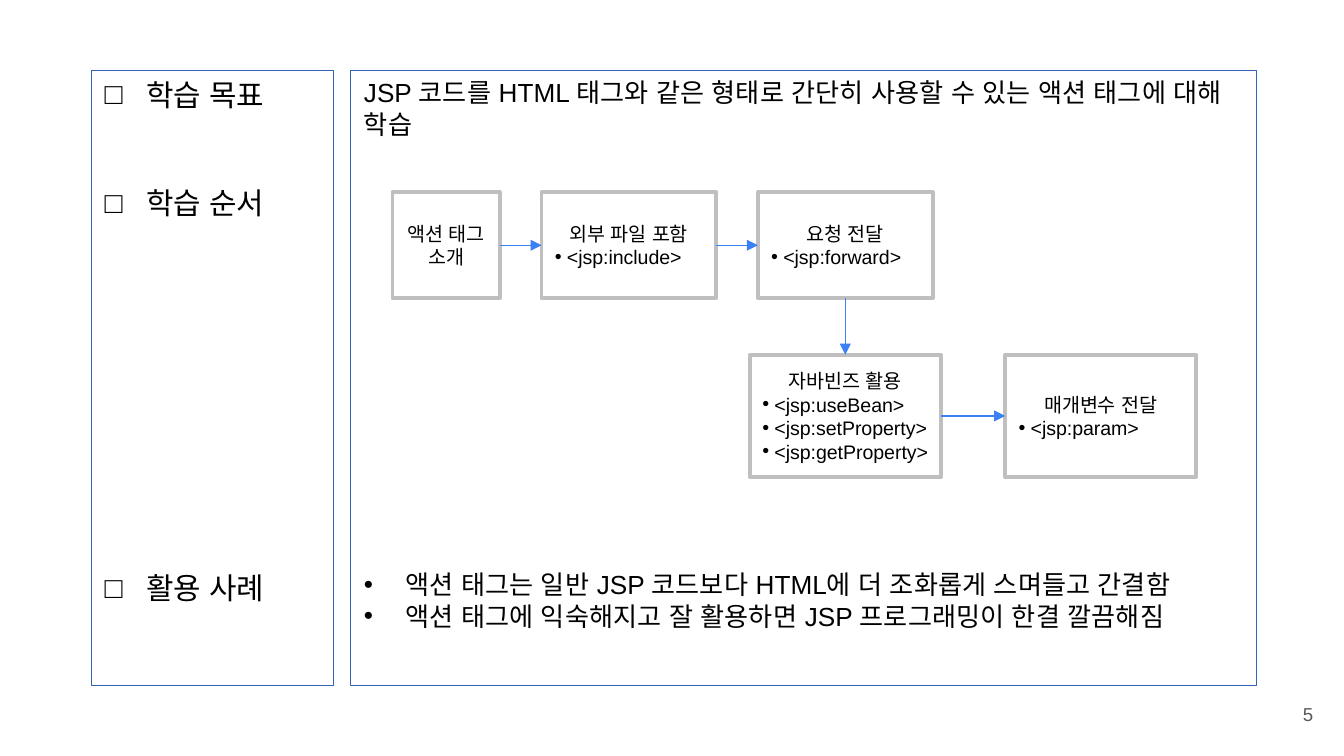
from lxml.etree import SubElement
from pptx import Presentation
from pptx.dml.color import RGBColor
from pptx.enum.shapes import MSO_CONNECTOR, MSO_SHAPE
from pptx.enum.text import MSO_ANCHOR, PP_ALIGN
from pptx.oxml.ns import qn
from pptx.util import Inches, Pt

BLACK = RGBColor(0x00, 0x00, 0x00)
WHITE = RGBColor(0xFF, 0xFF, 0xFF)
GRAY = RGBColor(0xBF, 0xBF, 0xBF)
DARK_GRAY = RGBColor(0x59, 0x59, 0x59)
FRAME_BLUE = RGBColor(0x31, 0x62, 0xB5)
ARROW_BLUE = RGBColor(0x3C, 0x81, 0xF3)
FONT = "Arial"

# Panel paragraphs: (text, bullet, space before in points)
HEADINGS = [
    ("학습 목표", "□", 0),
    ("학습 순서", "□", 39),
    ("활용 사례", "□", 187),
]
DETAILS = [
    ("JSP 코드를 HTML 태그와 같은 형태로 간단히 사용할 수 있는 액션 태그에 대해 학습", None, 0),
    ("액션 태그는 일반 JSP 코드보다 HTML에 더 조화롭게 스며들고 간결함", "•", 230),
    ("액션 태그에 익숙해지고 잘 활용하면 JSP 프로그래밍이 한결 깔끔해짐", "•", 0),
]
# Panels: (left, width, font size, paragraphs)
PANELS = [(0.68, 1.8, 16, HEADINGS), (2.61, 6.74, 14, DETAILS)]
PANEL_TOP, PANEL_HEIGHT = 0.52, 4.58

# Flow rows: (top, height, steps); step: (left, width, title, tags)
FLOW_ROWS = [
    (1.43, 0.79, [
        (2.92, 0.8, "액션 태그\v소개", []),
        (4.03, 1.3, "외부 파일 포함", ["<jsp:include>"]),
        (5.64, 1.3, "요청 전달", ["<jsp:forward>"]),
    ]),
    (2.64, 0.91, [
        (5.58, 1.42, "자바빈즈 활용",
         ["<jsp:useBean>", "<jsp:setProperty>", "<jsp:getProperty>"]),
        (7.48, 1.42, "매개변수 전달", ["<jsp:param>"]),
    ]),
]
TOP, LEFT, BOTTOM, RIGHT = range(4)  # connection sites of a rectangle


def add_box(slide, left, top, width, height, line_color, line_width):
    box = slide.shapes.add_shape(MSO_SHAPE.RECTANGLE, Inches(left), Inches(top),
                                 Inches(width), Inches(height))
    box.shadow.inherit = False
    box.fill.background()
    box.line.color.rgb = line_color
    box.line.width = Pt(line_width)
    return box


def write_paragraph(frame, text, size, color=BLACK, align=PP_ALIGN.LEFT,
                    bullet=None, indent=0, space_before=0):
    """Fill the frame's empty first paragraph, or append a new one."""
    first = frame.paragraphs[0]
    paragraph = frame.add_paragraph() if first.runs else first
    paragraph.text = text
    paragraph.alignment = align
    paragraph.space_before = Pt(space_before)
    if bullet:
        properties = paragraph._p.get_or_add_pPr()
        properties.set("marL", str(Inches(indent)))
        properties.set("indent", str(-Inches(indent)))
        SubElement(properties, qn("a:buFont"), typeface=FONT)
        SubElement(properties, qn("a:buChar"), char=bullet)
    paragraph.font.size = Pt(size)
    paragraph.font.color.rgb = color
    paragraph.font.name = FONT
    SubElement(paragraph.font._rPr, qn("a:ea"), typeface=FONT)


def add_panel(slide, left, width, size, paragraphs):
    panel = add_box(slide, left, PANEL_TOP, width, PANEL_HEIGHT, FRAME_BLUE, 0.25)
    frame = panel.text_frame
    frame.word_wrap = True
    frame.vertical_anchor = MSO_ANCHOR.TOP
    for text, bullet, space in paragraphs:
        write_paragraph(frame, text, size, bullet=bullet, indent=0.31,
                        space_before=space)


def add_step(slide, left, top, width, height, title, tags):
    step = add_box(slide, left, top, width, height, GRAY, 2)
    step.fill.solid()
    step.fill.fore_color.rgb = WHITE
    frame = step.text_frame
    frame.word_wrap = False
    frame.vertical_anchor = MSO_ANCHOR.MIDDLE
    write_paragraph(frame, title, 10.5, align=PP_ALIGN.CENTER)
    for tag in tags:
        write_paragraph(frame, tag, 10.5, bullet="•", indent=0.09)
    return step


def add_arrow(slide, start, start_site, end, end_site):
    arrow = slide.shapes.add_connector(MSO_CONNECTOR.STRAIGHT, 0, 0, 0, 0)
    arrow.begin_connect(start, start_site)
    arrow.end_connect(end, end_site)
    arrow.line.color.rgb = ARROW_BLUE
    arrow.line.width = Pt(0.75)
    SubElement(arrow.line._get_or_add_ln(), qn("a:tailEnd"), type="triangle")
    SubElement(arrow._element.spPr, qn("a:effectLst"))


def add_slide_number(slide, number):
    box = slide.shapes.add_textbox(Inches(9.27), Inches(5.1), Inches(0.6), Inches(0.43))
    frame = box.text_frame
    frame.word_wrap = True
    frame.vertical_anchor = MSO_ANCHOR.MIDDLE
    write_paragraph(frame, number, 10, DARK_GRAY, PP_ALIGN.RIGHT)


def main():
    presentation = Presentation()
    presentation.slide_width = Inches(10)
    presentation.slide_height = Inches(10) * 9 // 16
    slide = presentation.slides.add_slide(presentation.slide_layouts[6])

    add_slide_number(slide, "5")
    for panel in PANELS:
        add_panel(slide, *panel)

    rows = [[add_step(slide, left, top, width, height, title, tags)
             for left, width, title, tags in steps]
            for top, height, steps in FLOW_ROWS]
    for row in rows:
        for start, end in zip(row, row[1:]):
            add_arrow(slide, start, RIGHT, end, LEFT)
    for upper, lower in zip(rows, rows[1:]):
        add_arrow(slide, upper[-1], BOTTOM, lower[0], TOP)

    presentation.save("out.pptx")


if __name__ == "__main__":
    main()
